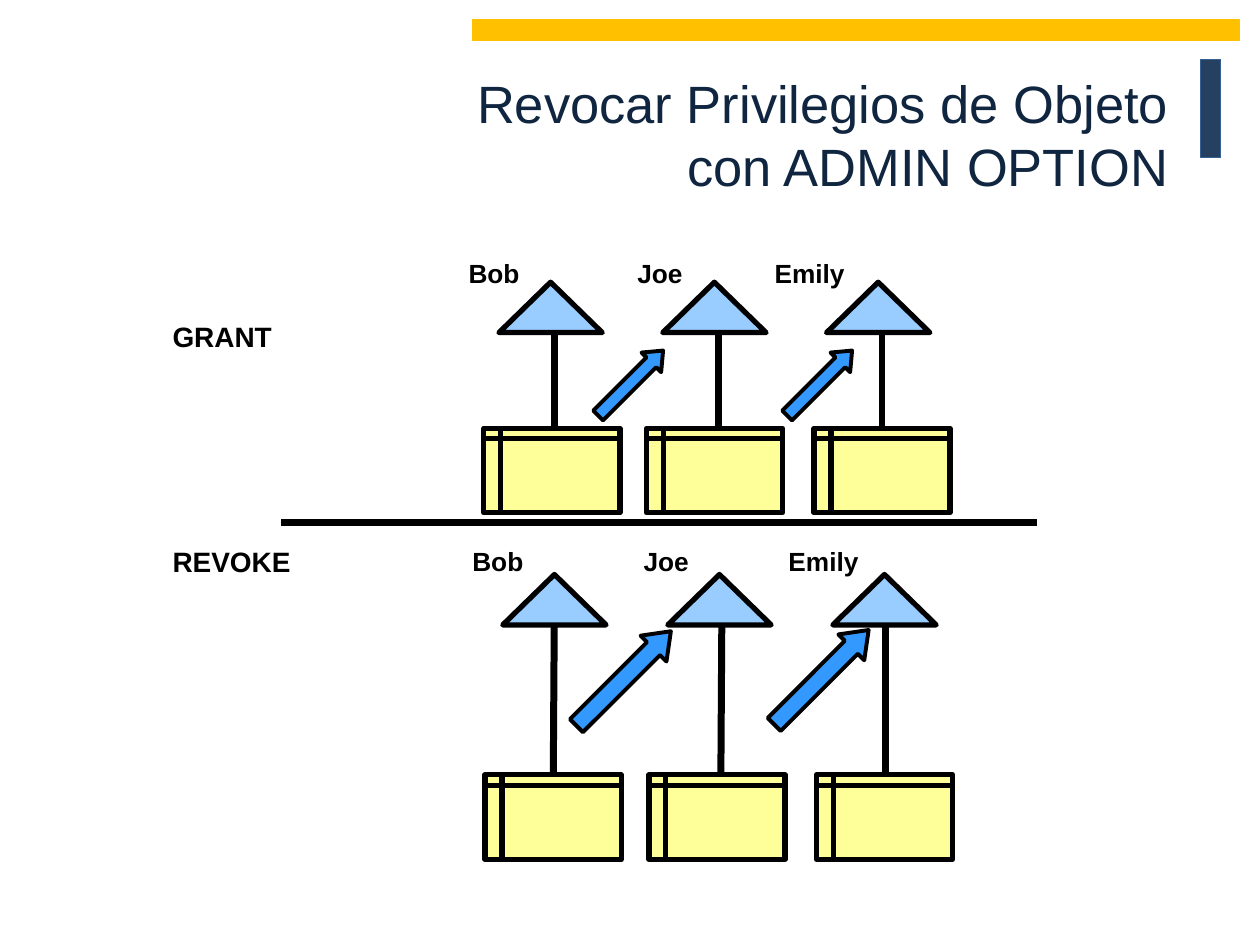
"""Build the slide on revoking object privileges, on a grid of 0.1 inch cells."""
import dataclasses
import typing

import lxml.etree
import pptx
import pptx.dml.color
import pptx.enum.shapes
import pptx.enum.text
import pptx.oxml.ns
import pptx.util

RGB = pptx.dml.color.RGBColor
KIND = pptx.enum.shapes.MSO_SHAPE
ALIGN = pptx.enum.text.PP_ALIGN

BLACK = RGB(0, 0, 0)
NAVY = RGB(0x25, 0x40, 0x61)
EDGE = RGB(0x37, 0x60, 0x92)
GOLD = RGB(0xFF, 0xC0, 0x00)
INK = RGB(0x10, 0x25, 0x3F)
SKY = RGB(0x99, 0xCC, 0xFF)
BLUE = RGB(0x33, 0x99, 0xFF)
CREAM = RGB(0xFF, 0xFF, 0x99)
FONT = "Arial"
COLS, ROWS = 100, 75
NAMES = ("Bob", "Joe", "Emily")


class Frame(typing.NamedTuple):
    """Place and size in grid cells."""
    left: float
    top: float
    width: float
    height: float


@dataclasses.dataclass(frozen=True)
class Stem:
    """Line from a triangle down to a table."""
    top_x: float
    end_x: float
    end_y: float


@dataclasses.dataclass(frozen=True)
class Scene:
    """One row of users, their tables and the arrows between them."""
    title: Frame
    word: str
    tags: tuple[Frame, ...]
    roofs: tuple[Frame, ...]
    stem_y: float
    stems: tuple[Stem, ...]
    arrows: tuple[Frame, ...]
    head: float
    boxes: tuple[Frame, ...]


def cell(count: float) -> int:
    """Turn grid cells into a length."""
    return pptx.util.Inches(count / 10)


def place(frame: Frame) -> tuple[int, ...]:
    """Turn a frame into lengths."""
    return tuple(cell(side) for side in frame)


def draw(shapes, kind, frame: Frame, fill: RGB, edge: RGB, width: float):
    """Add a filled preset shape."""
    shape = shapes.add_shape(kind, *place(frame))
    shape.shadow.inherit = False
    shape.fill.solid()
    shape.fill.fore_color.rgb = fill
    shape.line.color.rgb = edge
    shape.line.width = pptx.util.Pt(width)
    return shape


def rule(shapes, x: float, y: float, end_x: float, end_y: float) -> None:
    """Add a thick black line."""
    line = shapes.add_connector(pptx.enum.shapes.MSO_CONNECTOR.STRAIGHT,
                                cell(x), cell(y), cell(end_x), cell(end_y))
    line.line.color.rgb = BLACK
    line.line.width = pptx.util.Pt(4)
    lxml.etree.SubElement(line._element.spPr, pptx.oxml.ns.qn("a:effectLst"))


def write(para, text: str, size: float, color: RGB, bold: bool) -> None:
    """Add one run to a paragraph."""
    run = para.add_run()
    run.text = text
    run.font.name = FONT
    run.font.size = pptx.util.Pt(size)
    run.font.bold = bold
    run.font.color.rgb = color


def label(shapes, frame: Frame, text: str, size: float, inset: float) -> None:
    """Add a bold text box."""
    body = shapes.add_textbox(*place(frame)).text_frame
    body.word_wrap = True
    body.auto_size = pptx.enum.text.MSO_AUTO_SIZE.SHAPE_TO_FIT_TEXT
    body.margin_left = body.margin_right = cell(inset)
    write(body.paragraphs[0], text, size, BLACK, True)


def stage(slide, scene: Scene) -> None:
    """Draw one scene as a group beside its title."""
    label(slide.shapes, scene.title, scene.word, 16, 0.9)
    shapes = slide.shapes.add_group_shape().shapes
    for stem in scene.stems:
        rule(shapes, stem.top_x, scene.stem_y, stem.end_x, stem.end_y)
    for roof in scene.roofs:
        draw(shapes, KIND.ISOSCELES_TRIANGLE, roof, SKY, BLACK, 3)
    for frame in scene.arrows:
        arrow = draw(shapes, KIND.RIGHT_ARROW, frame, BLUE, BLACK, 2.25)
        arrow.adjustments[1] = scene.head
        arrow.rotation = 315
    for frame, name in zip(scene.tags, NAMES):
        label(shapes, frame, name, 15, 1)
    for box in scene.boxes:
        draw(shapes, KIND.FLOWCHART_INTERNAL_STORAGE, box, CREAM, BLACK, 3)


def head(slide) -> None:
    """Fill the title and draw its bars."""
    draw(slide.shapes, KIND.RECTANGLE, Frame(95.3, 4.7, 1.6, 7.8), NAVY, EDGE, 0.75)
    draw(slide.shapes, KIND.RECTANGLE, Frame(37.5, 1.6, 60.9, 1.6), GOLD, GOLD, 0.75)
    title = slide.shapes.title
    title.left, title.top, title.width, title.height = place(Frame(7.5, 2.6, 87.4, 16))
    body = title.text_frame
    body.auto_size = pptx.enum.text.MSO_AUTO_SIZE.NONE
    body.vertical_anchor = pptx.enum.text.MSO_ANCHOR.MIDDLE
    para = body.paragraphs[0]
    para.alignment = ALIGN.RIGHT
    write(para, "Revocar Privilegios de Objeto ", 30, INK, False)
    para.add_line_break()
    write(para, "con ADMIN OPTION ", 30, INK, False)


def line_up(lefts, top: float, width: float, height: float) -> tuple[Frame, ...]:
    """Make equal frames along one row."""
    return tuple(Frame(left, top, width, height) for left in lefts)


GRANT = Scene(
    Frame(12.8, 24.9, 15.6, 3.6), "GRANT",
    (Frame(36.2, 19.9, 6.9, 3.5), Frame(49.6, 19.9, 6.5, 3.5), Frame(60.5, 19.9, 9.3, 3.5)),
    line_up((39.6 + 13 * step for step in range(3)), 22.4, 8.2, 4),
    25.7, tuple(Stem(44 + 13 * step, 44 + 13 * step, 34.6) for step in range(3)),
    line_up((46.4, 61.4), 29.3, 7.3, 2.2), 0.6,
    line_up((38.4, 51.3, 64.6), 34, 10.8, 6.7))

REVOKE = Scene(
    Frame(12.8, 42.7, 18.2, 3.6), "REVOKE",
    (Frame(36.5, 42.8, 6.9, 3.5), Frame(50.1, 42.8, 6.5, 3.5), Frame(61.6, 42.8, 9, 3.5)),
    line_up((39.9 + 13.1 * step for step in range(3)), 45.6, 8.2, 4),
    47.5, (Stem(44, 43.9, 63.7), Stem(57.3, 57.2, 63.9), Stem(70.3, 70.3, 63.9)),
    (Frame(44.2, 52.4, 10.6, 2.9), Frame(59.9, 52.3, 10.6, 2.9)), 0.67,
    line_up((38.5, 51.5, 64.8), 61.5, 10.8, 6.7))


def main() -> None:
    """Build and save the deck."""
    deck = pptx.Presentation()
    deck.slide_width, deck.slide_height = cell(COLS), cell(ROWS)
    slide = deck.slides.add_slide(deck.slide_layouts[5])
    head(slide)
    rule(slide.shapes, 82.3, 41.5, 22.3, 41.5)
    for scene in (GRANT, REVOKE):
        stage(slide, scene)
    deck.save("out.pptx")


if __name__ == "__main__":
    main()
